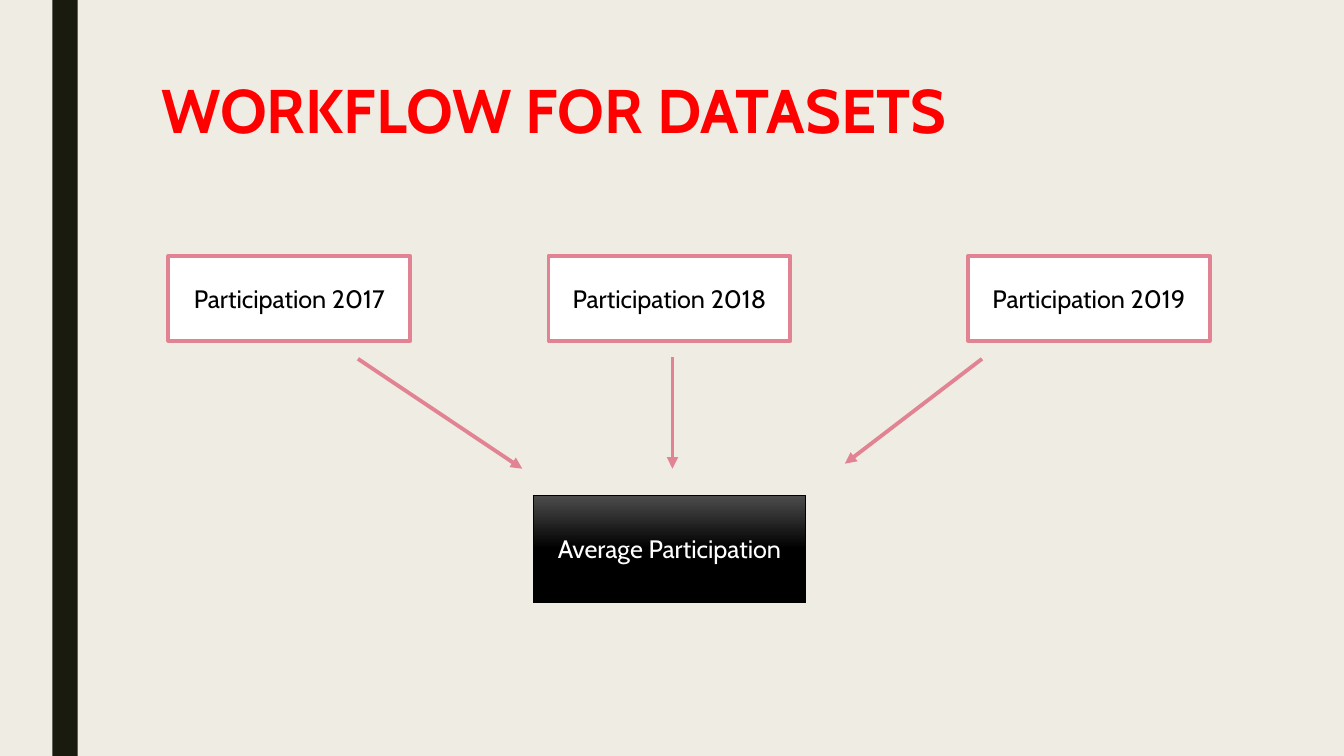
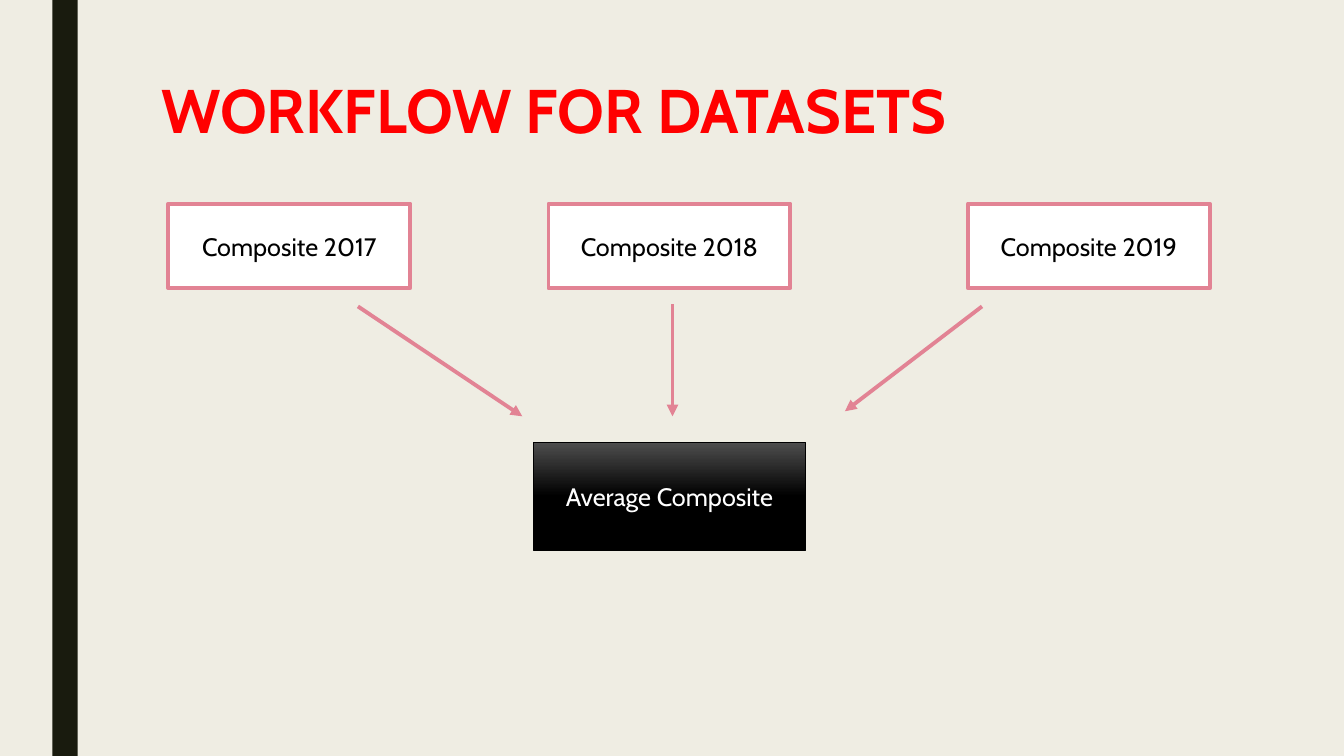
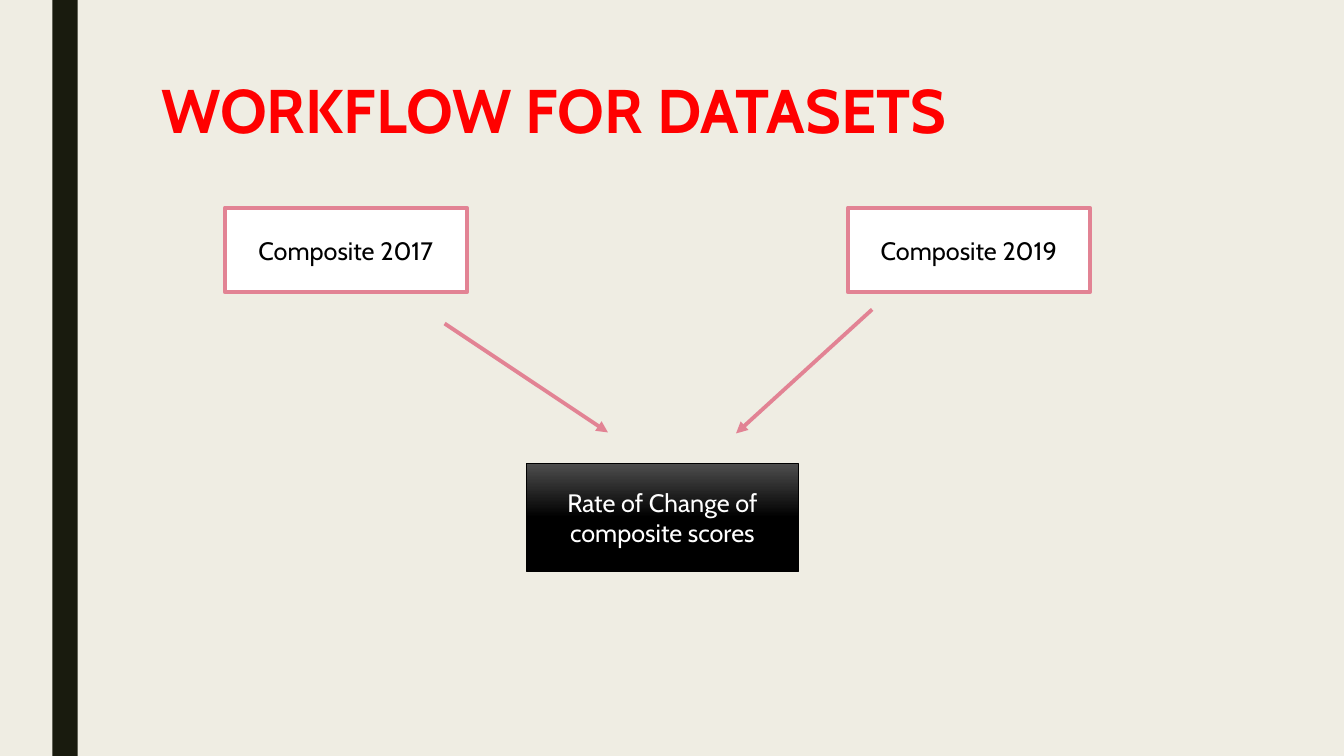
"""Build three slides that show how yearly datasets are combined."""
import pptx
import pptx.dml.color
import pptx.enum.shapes
import pptx.enum.text
import pptx.oxml
import pptx.oxml.ns
import pptx.util
from pptx.util import Inches

TITLE = "WORKFLOW FOR DATASETS"
FONT = "Cabin"
PAPER, BAND, RED, PINK = "EFEDE3", "191B0E", "FF0000", "E28394"
WHITE, BLACK, GREY = "FFFFFF", "000000", "4D4D4D"
SOURCE_SIZE = (2.4, 0.84)
RESULT_SIZE = (2.7, 1.07)

THREE_YEARS = {
    "title_height": 0.93,
    "years": [(2017, 1.67), (2018, 5.44), (2019, 9.6)],
    "arrows": [(3.55, 1.02, 5.18, 2.11), (6.67, 1, 6.67, 2.11), (9.74, 1.02, 8.38, 2.06)],
    "result_at": (5.29, 2.37),
}
TWO_YEARS = {
    "title_height": 1.62,
    "years": [(2017, 2.23), (2019, 8.41)],
    "arrows": [(4.41, 1.15, 6.03, 2.23), (8.65, 1.01, 7.3, 2.24)],
    "result_at": (5.22, 2.54),
}
WORKFLOWS = [
    ("Participation", "Average Participation", 2.54, THREE_YEARS),
    ("Composite", "Average Composite", 2.02, THREE_YEARS),
    ("Composite", "Rate of Change of composite scores", 2.06, TWO_YEARS),
]


def rgb(value):
    return pptx.dml.color.RGBColor.from_string(value)


def fill_solid(fill, color):
    fill.solid()
    fill.fore_color.rgb = rgb(color)


def set_line(line, color, width):
    fill_solid(line.fill, color)
    line.width = pptx.util.Pt(width)


def write(shape, text, size, color, bold=False):
    shape.text_frame.word_wrap = True
    shape.text_frame.text = text
    paragraph = shape.text_frame.paragraphs[0]
    font = paragraph.runs[0].font
    font.name, font.size, font.bold = FONT, pptx.util.Pt(size), bold
    font.color.rgb = rgb(color)
    return paragraph


def add_rectangle(slide, left, top, width, height):
    shape = slide.shapes.add_shape(
        pptx.enum.shapes.MSO_SHAPE.RECTANGLE,
        Inches(left), Inches(top), Inches(width), Inches(height))
    shape.shadow.inherit = False
    return shape


def add_box(slide, left, top, size, text, color):
    box = add_rectangle(slide, left, top, *size)
    box.text_frame.vertical_anchor = pptx.enum.text.MSO_ANCHOR.MIDDLE
    write(box, text, 18, color).alignment = pptx.enum.text.PP_ALIGN.CENTER
    return box


def add_source(slide, left, top, text):
    box = add_box(slide, left, top, SOURCE_SIZE, text, BLACK)
    fill_solid(box.fill, WHITE)
    set_line(box.line, PINK, 2.75)


def add_result(slide, left, top, text):
    box = add_box(slide, left, top, RESULT_SIZE, text, WHITE)
    box.fill.gradient()
    box.fill.gradient_angle = 270
    for stop, position, color in zip(box.fill.gradient_stops, (0, 0.5), (GREY, BLACK)):
        stop.position = position
        stop.color.rgb = rgb(color)
    set_line(box.line, BLACK, 0.5)


def add_arrow(slide, start_x, start_y, end_x, end_y):
    arrow = slide.shapes.add_connector(
        pptx.enum.shapes.MSO_CONNECTOR.STRAIGHT,
        Inches(start_x), Inches(start_y), Inches(end_x), Inches(end_y))
    set_line(arrow.line, PINK, 2.75)
    properties = arrow._element.spPr
    head = pptx.oxml.ns.qn("a:tailEnd")
    properties.find(pptx.oxml.ns.qn("a:ln")).makeelement(head)
    line = properties.find(pptx.oxml.ns.qn("a:ln"))
    line.append(line.makeelement(head, {"type": "triangle"}))
    properties.append(properties.makeelement(pptx.oxml.ns.qn("a:effectLst")))


def add_frame(slide, title_height):
    band = add_rectangle(slide, 0.52, 0, 0.25, 7.5)
    fill_solid(band.fill, BAND)
    band.line.fill.background()
    title = slide.shapes.add_textbox(
        Inches(1.5), Inches(0.75), Inches(10.5), Inches(title_height))
    write(title, TITLE, 44, RED, bold=True).line_spacing = 0.89


def add_workflow(presentation, measure, result, top, plan):
    slide = presentation.slides.add_slide(presentation.slide_layouts[6])
    add_frame(slide, plan["title_height"])
    for year, left in plan["years"]:
        add_source(slide, left, top, f"{measure} {year}")
    for start_x, start_y, end_x, end_y in plan["arrows"]:
        add_arrow(slide, start_x, top + start_y, end_x, top + end_y)
    left, drop = plan["result_at"]
    add_result(slide, left, top + drop, result)


def main():
    presentation = pptx.Presentation()
    presentation.slide_width, presentation.slide_height = Inches(13.33), Inches(7.5)
    fill_solid(presentation.slide_master.background.fill, PAPER)
    for workflow in WORKFLOWS:
        add_workflow(presentation, *workflow)
    presentation.save("out.pptx")


if __name__ == "__main__":
    main()
